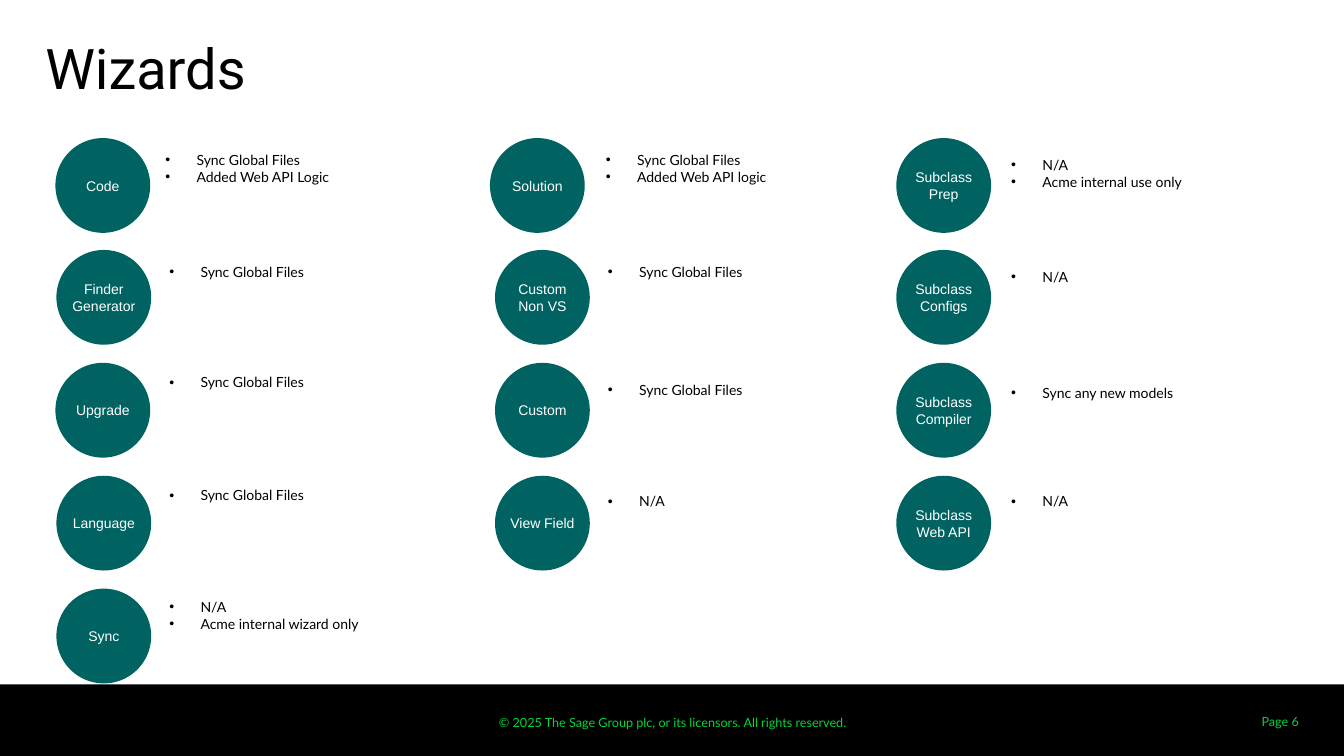
from dataclasses import dataclass

from pptx import Presentation
from pptx.dml.color import RGBColor
from pptx.enum.shapes import MSO_SHAPE as SHAPE
from pptx.enum.text import MSO_ANCHOR as ANCHOR, PP_ALIGN as ALIGN
from pptx.oxml.ns import qn
from pptx.util import Emu, Pt
from lxml.etree import SubElement

EMU_PER_PX = 9144  # 100 px to the inch
BLACK, WHITE, TEAL, GREEN = "000000", "FFFFFF", "006362", "00D639"

DIAMETER = 94
FIRST_TOP = 137
ROW_SPAN, ROW_GAPS = 447, 4
LIST_W, LIST_H = 267, 58
BULLET_INDENT = 31


@dataclass
class Wizard:
    name: str
    changes: str
    list_top: int
    circle_dx: int = 0
    list_dx: int = 0


@dataclass
class Column:
    left: int
    list_left: int
    wizards: list[Wizard]


COLUMNS = [
    Column(56, 168, [
        Wizard("Code", "Sync Global Files\nAdded Web API Logic", 150, -1, -4),
        Wizard("Finder\nGenerator", "Sync Global Files", 261),
        Wizard("Upgrade", "Sync Global Files", 371, -1),
        Wizard("Language", "Sync Global Files", 483),
        Wizard("Sync", "N/A\nAcme internal wizard only", 594),
    ]),
    Column(491, 603, [
        Wizard("Solution", "Sync Global Files\nAdded Web API logic", 150, -5, -2),
        Wizard("Custom\nNon VS", "Sync Global Files", 261),
        Wizard("Custom", "Sync Global Files", 378),
        Wizard("View Field", "N/A", 489),
    ]),
    Column(889, 1003, [
        Wizard("Subclass\nPrep", "N/A\nAcme internal use only", 155),
        Wizard("Subclass\nConfigs", "N/A", 266),
        Wizard("Subclass\nCompiler", "Sync any new models", 381),
        Wizard("Subclass\nWeb API", "N/A", 489),
    ]),
]


def px(n: int) -> Emu:
    return Emu(n * EMU_PER_PX)


def rgb(color: str) -> RGBColor:
    return RGBColor.from_string(color)


def add_bullet(p) -> None:
    pPr = p._p.get_or_add_pPr()
    pPr.set("marL", str(px(BULLET_INDENT)))
    pPr.set("indent", str(-px(BULLET_INDENT)))
    SubElement(pPr, qn("a:buFont")).set("typeface", "Arial")
    SubElement(pPr, qn("a:buChar")).set("char", "•")


def write(sp, text: str, font: str, size: int, color: str, align=ALIGN.LEFT,
          anchor=ANCHOR.TOP, inset_x: int = 0, inset_y: int = 0,
          bullets: bool = False, wrap: bool = True) -> None:
    tf = sp.text_frame
    tf.text = text
    tf.word_wrap = wrap
    tf.vertical_anchor = anchor
    tf.margin_left = tf.margin_right = px(inset_x)
    tf.margin_top = tf.margin_bottom = px(inset_y)
    for p in tf.paragraphs:
        if bullets:
            add_bullet(p)
        p.alignment = align
        for r in p.runs:
            r.font.name = font
            r.font.size = Pt(size)
            r.font.color.rgb = rgb(color)


def add_filled(s, kind, x: int, y: int, w: int, h: int, color: str):
    sp = s.shapes.add_shape(kind, px(x), px(y), px(w), px(h))
    sp.shadow.inherit = False
    sp.fill.solid()
    sp.fill.fore_color.rgb = rgb(color)
    sp.line.fill.background()
    return sp


def add_text(s, x: int, y: int, w: int, h: int):
    return s.shapes.add_textbox(px(x), px(y), px(w), px(h))


def draw_wizard(s, column: Column, row: int, wizard: Wizard) -> None:
    top = FIRST_TOP + ROW_SPAN * row // ROW_GAPS
    circle = add_filled(s, SHAPE.OVAL, column.left + wizard.circle_dx, top,
                        DIAMETER, DIAMETER, TEAL)
    write(circle, wizard.name, "Arial", 10, WHITE, ALIGN.CENTER, ANCHOR.MIDDLE,
          wrap=False)
    box = add_text(s, column.list_left + wizard.list_dx, wizard.list_top,
                   LIST_W, LIST_H)
    write(box, wizard.changes, "Lato", 10, BLACK, bullets=True)


def main() -> None:
    prs = Presentation()
    prs.slide_width, prs.slide_height = px(1333), px(750)
    s = prs.slides.add_slide(prs.slide_layouts[6])

    # Footer band, copyright and page number
    add_filled(s, SHAPE.RECTANGLE, 0, 679, 1333, 71, BLACK)
    write(add_text(s, 492, 704, 350, 25),
          "© 2025 The Sage Group plc, or its licensors. All rights reserved.",
          "Lato", 9, GREEN, ALIGN.CENTER, inset_y=5)
    write(add_text(s, 1207, 696, 91, 40), "Page 6", "Lato", 9, GREEN,
          ALIGN.RIGHT, ANCHOR.MIDDLE, inset_x=10, inset_y=5)

    # Title
    write(add_text(s, 45, 33, 1242, 65), "Wizards", "Roboto", 40, BLACK)

    # Wizards with their lists of changes
    for column in COLUMNS:
        for row, wizard in enumerate(column.wizards):
            draw_wizard(s, column, row, wizard)

    prs.save("out.pptx")


if __name__ == "__main__":
    main()
